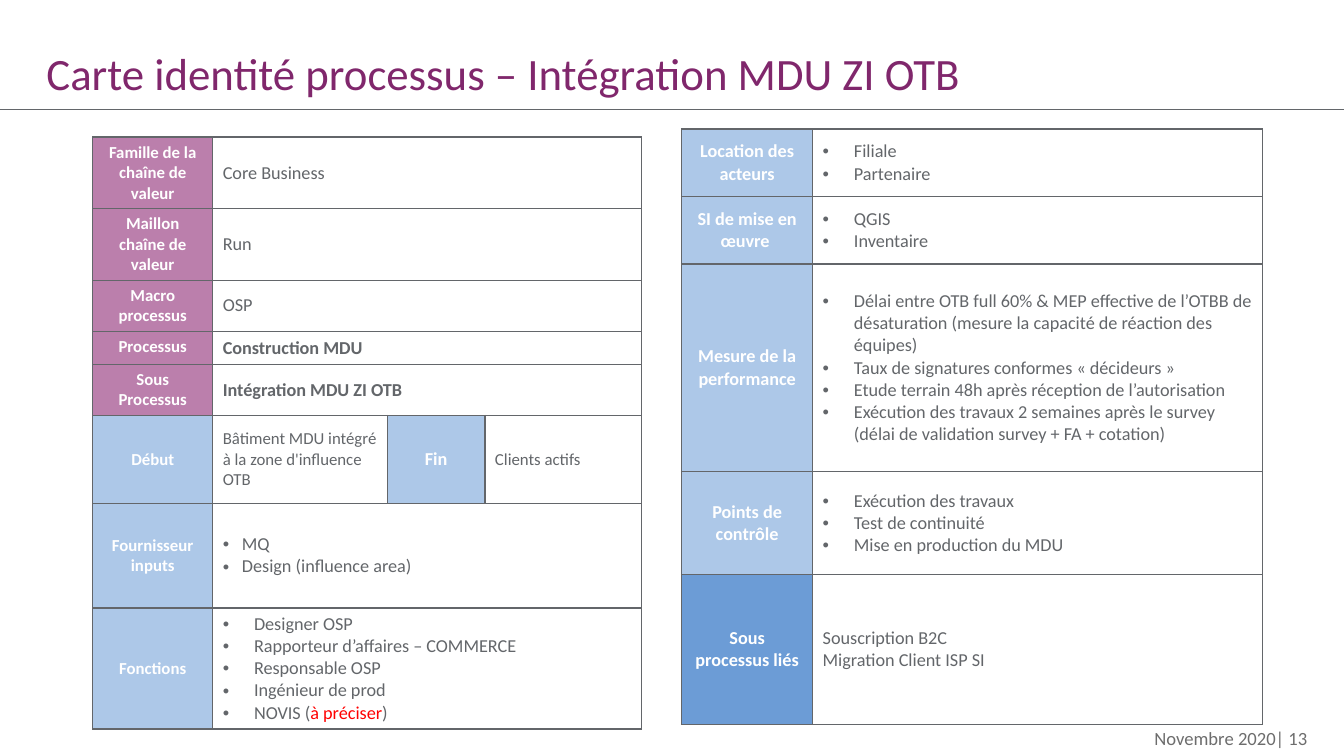
from lxml.etree import SubElement
from pptx import Presentation
from pptx.dml.color import RGBColor
from pptx.enum.shapes import MSO_CONNECTOR
from pptx.enum.text import MSO_ANCHOR, MSO_AUTO_SIZE, PP_ALIGN
from pptx.oxml.ns import qn
from pptx.util import Inches, Pt

FONT = "Calibri"
WHITE = RGBColor(0xFF, 0xFF, 0xFF)
GREY = RGBColor(0x63, 0x66, 0x6A)
FOOTER_GREY = RGBColor(0x6D, 0x6D, 0x6D)
PLUM = RGBColor(0x80, 0x27, 0x6C)
MAUVE = RGBColor(0xBB, 0x7F, 0xAC)
LIGHT_BLUE = RGBColor(0xAD, 0xC8, 0xE8)
BLUE = RGBColor(0x6C, 0x9C, 0xD6)
RED = RGBColor(0xFF, 0x00, 0x00)

# Label, heading colour, row height, value lines
IDENTITY = [
    ("Famille de la chaîne de valeur", MAUVE, 0.7, ["Core Business"]),
    ("Maillon chaîne de valeur", MAUVE, 0.7, ["Run"]),
    ("Macro processus", MAUVE, 0.5, ["OSP"]),
    ("Processus", MAUVE, 0.33, ["Construction MDU"]),
    ("Sous Processus", MAUVE, 0.5, ["Intégration MDU ZI OTB"]),
    ("Début", LIGHT_BLUE, 0.87, ["Bâtiment MDU intégré à la zone d'influence OTB"]),
    ("Fournisseur inputs", LIGHT_BLUE, 1.04, ["MQ", "Design (influence area)"]),
    ("Fonctions", LIGHT_BLUE, 1.18, [
        "Designer OSP", "Rapporteur d’affaires – COMMERCE", "Responsable OSP",
        "Ingénieur de prod", ("NOVIS (", "à préciser", ")")]),
]
BOLD_LABELS = {"Processus", "Sous Processus"}
LIST_INDENTS = {"Fournisseur inputs": 0.19, "Fonctions": 0.31}

OPERATION = [
    ("Location des acteurs", LIGHT_BLUE, 0.67, ["Filiale", "Partenaire"]),
    ("SI de mise en œuvre ", LIGHT_BLUE, 0.67, ["QGIS", "Inventaire"]),
    ("Mesure de la performance", LIGHT_BLUE, 2.06, [
        "Délai entre OTB full 60% & MEP effective de l’OTBB de désaturation "
        "(mesure la capacité de réaction des équipes)",
        "Taux de signatures conformes « décideurs » ",
        "Etude terrain 48h après réception de l’autorisation",
        "Exécution des travaux 2 semaines après le survey "
        "(délai de validation survey + FA + cotation)"]),
    ("Points de contrôle", LIGHT_BLUE, 1.02, [
        "Exécution des travaux", "Test de continuité", "Mise en production du MDU"]),
    ("Sous processus liés", BLUE, 1.49, ["Souscription B2C", "Migration Client ISP SI"]),
]


def style(paragraph, size, color, bold=False, align=PP_ALIGN.LEFT):
    paragraph.alignment = align
    font = paragraph.font
    font.name, font.size, font.bold = FONT, Pt(size), bold
    font.color.rgb = color


def add_bullet(paragraph, indent):
    props = paragraph._p.get_or_add_pPr()
    props.set("marL", str(Inches(indent)))
    props.set("indent", str(-Inches(indent)))
    SubElement(props, qn("a:buFont"), typeface="Arial")
    SubElement(props, qn("a:buChar"), char="•")


def add_borders(cell):
    props = cell._tc.get_or_add_tcPr()
    for side in ("lnL", "lnR", "lnT", "lnB"):
        border = SubElement(props, qn(f"a:{side}"), w=str(Pt(1)))
        SubElement(SubElement(border, qn("a:solidFill")), qn("a:srgbClr"), val=str(GREY))


def paint(cell, color):
    cell.fill.solid()
    cell.fill.fore_color.rgb = color


def fill_heading(cell, label, color, size, anchor=MSO_ANCHOR.MIDDLE):
    paint(cell, color)
    cell.vertical_anchor = anchor
    heading = cell.text_frame.paragraphs[0]
    heading.text = label
    style(heading, size, WHITE, True, PP_ALIGN.CENTER)


def fill_value(cell, lines, size=13, bold=False, indent=0):
    """Write one paragraph per line; a tuple is (before, red part, after)."""
    cell.vertical_anchor = MSO_ANCHOR.MIDDLE
    frame = cell.text_frame
    for number, line in enumerate(lines):
        paragraph = frame.add_paragraph() if number else frame.paragraphs[0]
        if indent:
            add_bullet(paragraph, indent)
        style(paragraph, size, GREY, bold)
        if isinstance(line, tuple):
            for part in line:
                paragraph.add_run().text = part
            paragraph.runs[1].font.color.rgb = RED
        else:
            paragraph.text = line


def add_grid(slide, left, top, widths, heights):
    """Add a white bordered table."""
    table = slide.shapes.add_table(
        len(heights), len(widths), Inches(left), Inches(top),
        Inches(sum(widths)), Inches(sum(heights))).table
    table.first_row = table.horz_banding = False
    for column, width in zip(table.columns, widths):
        column.width = Inches(width)
    for row, height in zip(table.rows, heights):
        row.height = Inches(height)
    for cell in table.iter_cells():
        add_borders(cell)
        paint(cell, WHITE)
    return table


def add_identity_table(slide):
    table = add_grid(slide, 0.92, 1.36, [1.19, 1.73, 0.97, 1.55],
                     [height for _, _, height, _ in IDENTITY])
    for row, (label, color, _, lines) in enumerate(IDENTITY):
        anchor = MSO_ANCHOR.TOP if color == MAUVE else MSO_ANCHOR.MIDDLE
        fill_heading(table.cell(row, 0), label, color, 12, anchor)
        if label == "Début":
            fill_value(table.cell(row, 1), lines, size=12)
            fill_heading(table.cell(row, 2), "Fin", LIGHT_BLUE, 13)
            fill_value(table.cell(row, 3), ["Clients actifs"], size=12)
        else:
            table.cell(row, 1).merge(table.cell(row, 3))
            fill_value(table.cell(row, 1), lines, bold=label in BOLD_LABELS,
                       indent=LIST_INDENTS.get(label, 0))


def add_operation_table(slide):
    table = add_grid(slide, 6.76, 1.28, [1.3, 4.46],
                     [height for _, _, height, _ in OPERATION])
    for row, (label, color, _, lines) in enumerate(OPERATION):
        fill_heading(table.cell(row, 0), label, color, 13)
        fill_value(table.cell(row, 1), lines, indent=0 if color == BLUE else 0.31)


def set_text(shape, text, anchor, size, color, align):
    frame = shape.text_frame
    frame.margin_left = frame.margin_right = frame.margin_top = frame.margin_bottom = 0
    frame.word_wrap = True
    frame.auto_size = MSO_AUTO_SIZE.NONE
    frame.vertical_anchor = anchor
    frame.text = text
    style(frame.paragraphs[0], size, color, align=align)


def add_title(slide):
    title = slide.shapes.title
    title.left, title.top = Inches(0.46), Inches(0)
    title.width, title.height = Inches(12.6), Inches(0.99)
    set_text(title, "Carte identité processus – Intégration MDU ZI OTB",
             MSO_ANCHOR.BOTTOM, 32, PLUM, PP_ALIGN.LEFT)


def add_title_rule(slide, width):
    rule = slide.shapes.add_connector(
        MSO_CONNECTOR.STRAIGHT, 0, Inches(1.09), width, Inches(1.09))
    rule.line.color.rgb = GREY
    rule.line.width = Pt(0.75)
    SubElement(rule._element.spPr, qn("a:effectLst"))


def add_footer(slide):
    footer = slide.shapes.add_textbox(Inches(9), Inches(7.21), Inches(3.97), Inches(0.22))
    set_text(footer, "Novembre 2020| 13", MSO_ANCHOR.MIDDLE, 13.3, FOOTER_GREY, PP_ALIGN.RIGHT)


def main():
    deck = Presentation()
    deck.slide_width, deck.slide_height = Inches(13.33), Inches(7.5)
    slide = deck.slides.add_slide(deck.slide_layouts.get_by_name("Title Only"))
    add_footer(slide)
    add_title_rule(slide, deck.slide_width)
    add_identity_table(slide)
    add_title(slide)
    add_operation_table(slide)
    deck.save("out.pptx")


if __name__ == "__main__":
    main()
